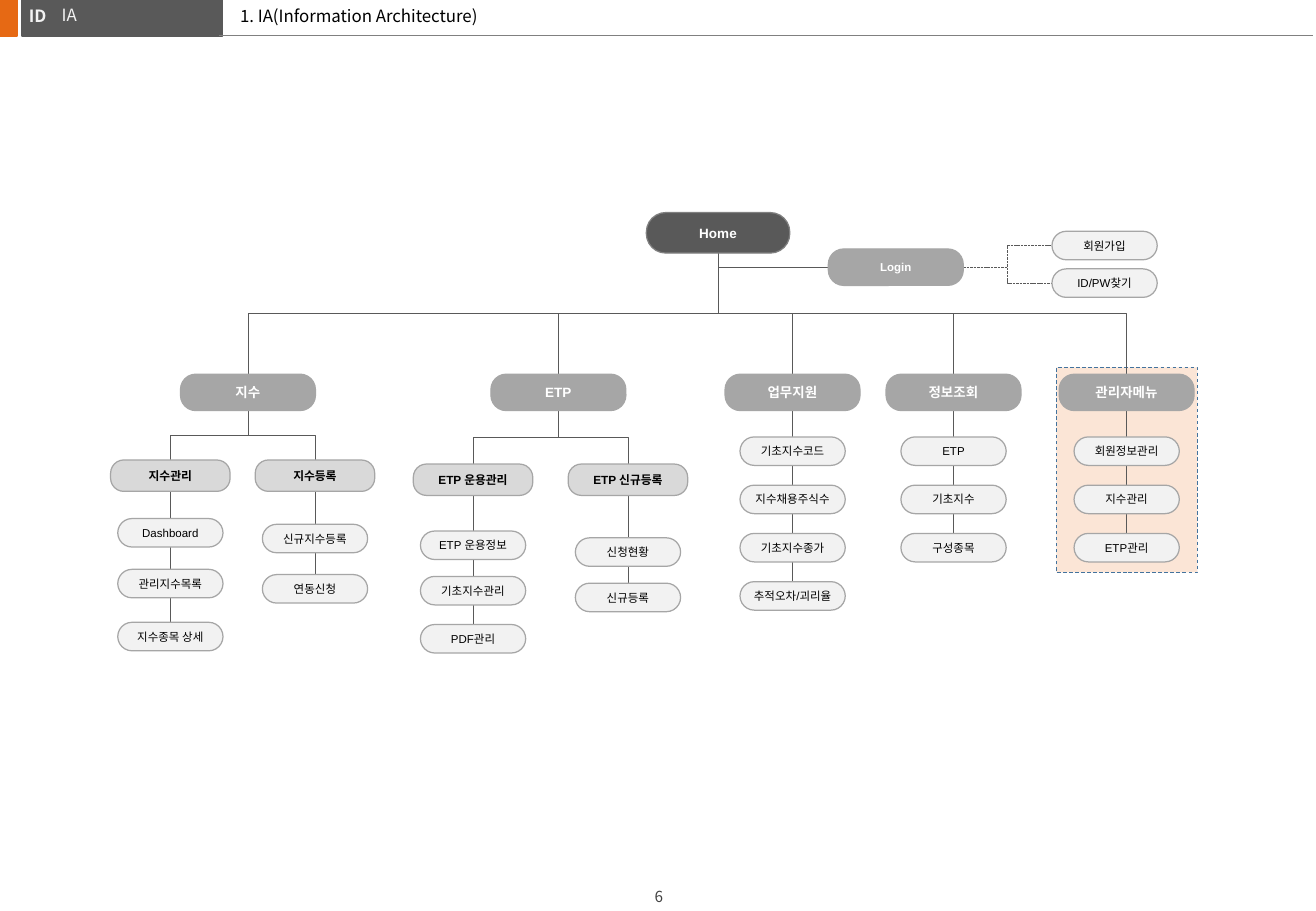
from collections import namedtuple

from lxml.etree import SubElement
from pptx import Presentation
from pptx.dml.color import RGBColor
from pptx.enum.dml import MSO_LINE_DASH_STYLE as Dash
from pptx.enum.shapes import MSO_CONNECTOR as Link, MSO_SHAPE as Shape
from pptx.enum.text import MSO_ANCHOR as Anchor, PP_ALIGN as Align
from pptx.oxml.ns import qn
from pptx.util import Pt

Box = namedtuple("Box", "left top width height")
Kind = namedtuple("Kind", "width height round fill line text size bold")

COLORS = {
    "orange": "E66914", "dark": "595959", "rule": "808080", "mid": "A6A6A6",
    "group": "D9D9D9", "pale": "F2F2F2", "peach": "FBE5D6", "blue": "43739E",
    "white": "FFFFFF", "black": "000000", "page": "404040",
}
KOREAN = "Noto Sans CJK KR"
KINDS = {
    "home": Kind(85, 24, 0.48, "dark", "rule", "white", 8, True),
    "menu": Kind(80, 21.6, 0.42, "mid", "mid", "white", 8, True),
    "login": Kind(80, 21.6, 0.42, "mid", "mid", "white", 6.8, True),
    "group": Kind(70.8, 18.6, 0.42, "group", "mid", "black", 7, True),
    "leaf": Kind(62.4, 16.9, 0.5, "pale", "mid", "black", 6.8, False),
}

# Menus with grouped pages: (label, centre x, group top, groups)
GROUPED_MENUS = [
    ("지수", 82, 146.7, [
        ("지수관리", 36, [("Dashboard", 181.4), ("관리지수목록", 211.5), ("지수종목 상세", 242.9)]),
        ("지수등록", 121.7, [("신규지수등록", 184.8), ("연동신청", 214.6)]),
    ]),
    ("ETP", 266, 149.1, [
        ("ETP 운용관리", 215.4, [("ETP 운용정보", 188.8), ("기초지수관리", 215.7), ("PDF관리", 244.2)]),
        ("ETP 신규등록", 307.2, [("신청현황", 192.8), ("신규등록", 219.7)]),
    ]),
]
# Menus with pages directly below: (label, centre x, pages)
DIRECT_MENUS = [
    ("업무지원", 404.8, ["기초지수코드", "지수채용주식수", "기초지수종가", "추적오차/괴리율"]),
    ("정보조회", 500.2, ["ETP", "기초지수", "구성종목"]),
    ("관리자메뉴", 602.8, ["회원정보관리", "지수관리", "ETP관리"]),
]
HOME_X, MENU_TOP = 360.6, 95.8
LOGIN_X, LOGIN_TOP = 466, 21.6
ACCOUNT_X, ACCOUNT_PAGES = 589.7, [("회원가입", 11.1), ("ID/PW찾기", 33.4)]
PAGE_TOP, PAGE_STEP = 133, 28.6


def color(name):
    return RGBColor.from_string(COLORS[name])


def set_line(line, name, width, dash=None):
    line.color.rgb = color(name)
    line.width = Pt(width)
    if dash:
        line.dash_style = dash


def write(frame, text, tint, margins, font, align=Align.LEFT, anchor=Anchor.TOP, wrap=True):
    left, top, right, bottom = map(Pt, margins)
    layout = {"margin_left": left, "margin_top": top, "margin_right": right,
              "margin_bottom": bottom, "vertical_anchor": anchor, "word_wrap": wrap}
    for name, value in layout.items():
        setattr(frame, name, value)
    paragraph = frame.paragraphs[0]
    paragraph.alignment = align
    run = paragraph.add_run()
    run.text = text
    for name, value in font.items():
        setattr(run.font, name, value)
    run.font.color.rgb = color(tint)
    SubElement(run.font._element, qn("a:ea")).set("typeface", KOREAN)
    return paragraph


def block(slide, box, fill, line, width, dash=None, preset=Shape.RECTANGLE):
    shape = slide.shapes.add_shape(preset, *map(Pt, box))
    shape.shadow.inherit = False
    shape.fill.solid()
    shape.fill.fore_color.rgb = color(fill)
    set_line(shape.line, line, width, dash)
    return shape


def label(slide, box, text, tint, size=10, bold=False, spacing=1, **options):
    frame = slide.shapes.add_textbox(*map(Pt, box)).text_frame
    font = {"name": KOREAN, "size": Pt(size), "bold": bold}
    write(frame, text, tint, (7.2, 3.6, 7.2, 3.6), font, **options).line_spacing = spacing


def link(slide, start, end, kind=Link.STRAIGHT, tint="dark", dash=None):
    connector = slide.shapes.add_connector(kind, *map(Pt, (*start, *end)))
    set_line(connector.line, tint, 0.5, dash)
    SubElement(connector._element.spPr, qn("a:effectLst"))
    return connector


def drop(slide, start, end):
    """Elbow that leaves downwards: a sideways elbow turned by a quarter."""
    (x1, y1), (x2, y2) = start, end
    mid_x, mid_y = (x1 + x2) / 2, (y1 + y2) / 2
    side = 1 if x2 > x1 else -1
    along, across = side * (y2 - y1) / 2, abs(x2 - x1) / 2
    elbow = link(slide, (mid_x + along, mid_y - across), (mid_x - along, mid_y + across), Link.ELBOW)
    elbow._element.spPr.find(qn("a:xfrm")).set("rot", str((270 if side > 0 else 90) * 60000))


def node(slide, kind_name, text, x, top):
    kind = KINDS[kind_name]
    pill = block(slide, (x - kind.width / 2, top, kind.width, kind.height),
                 kind.fill, kind.line, 0.75, preset=Shape.ROUNDED_RECTANGLE)
    pill.adjustments[0] = kind.round
    font = {"name": "Arial", "size": Pt(kind.size), "bold": kind.bold}
    write(pill.text_frame, text, kind.text, (0.7,) * 4, font, Align.CENTER, Anchor.MIDDLE)


def draw_column(slide, x, start, pages):
    """Pages strung on one vertical line."""
    link(slide, (x, start), (x, pages[-1][1]))
    for text, top in pages:
        node(slide, "leaf", text, x, top)


def draw_header(slide, box):
    x, y = box.left, box.top
    block(slide, (x, y, 10, box.height), "orange", "orange", 1)
    block(slide, (x + 13, y, 119, box.height), "dark", "dark", 1)
    link(slide, (x + 130, y + 21.1), (x + box.width, y + 21.1), tint="rule")
    label(slide, (x + 10, y, 25, 19.4), "ID", "pale", bold=True, wrap=False)
    label(slide, (x + 29.5, y + 0.5, 97, 16.6), "IA", "pale", spacing=0.9)
    label(slide, (x + 135.2, y + 0.5, 527, 18.7), "1. IA(Information Architecture)",
          "black", spacing=0.9, anchor=Anchor.BOTTOM)


def draw_login(slide, box):
    login = KINDS["login"]
    middle = box.top + LOGIN_TOP + login.height / 2
    x, page_x = box.left + LOGIN_X, box.left + ACCOUNT_X
    link(slide, (box.left + HOME_X, middle), (x - login.width / 2, middle))
    for text, offset in ACCOUNT_PAGES:
        top = box.top + offset
        end = page_x - KINDS["leaf"].width / 2, top + KINDS["leaf"].height / 2
        link(slide, (x + login.width / 2, middle), end, Link.ELBOW, dash=Dash.SQUARE_DOT)
        node(slide, "leaf", text, page_x, top)
    node(slide, "login", "Login", x, box.top + LOGIN_TOP)


def draw_site_map(slide, box):
    left, top = box.left, box.top
    menu_top = top + MENU_TOP
    menu_end = menu_top + KINDS["menu"].height
    # Admin area
    block(slide, (left + 561.1, top + 91.8, 83.6, 121.5), "peach", "blue", 0.5, Dash.DASH)
    # Home and its branches
    for menu in GROUPED_MENUS + DIRECT_MENUS:
        drop(slide, (left + HOME_X, top + KINDS["home"].height), (left + menu[1], menu_top))
    node(slide, "home", "Home", left + HOME_X, top)
    draw_login(slide, box)
    # Menus split into groups
    for text, x, group_top, groups in GROUPED_MENUS:
        for group, group_x, pages in groups:
            drop(slide, (left + x, menu_end), (left + group_x, top + group_top))
            draw_column(slide, left + group_x, top + group_top + KINDS["group"].height,
                        [(page, top + offset) for page, offset in pages])
            node(slide, "group", group, left + group_x, top + group_top)
        node(slide, "menu", text, left + x, menu_top)
    # Menus with one column of pages
    for text, x, pages in DIRECT_MENUS:
        draw_column(slide, left + x, menu_end,
                    [(page, top + PAGE_TOP + PAGE_STEP * i) for i, page in enumerate(pages)])
        node(slide, "menu", text, left + x, menu_top)


def main():
    deck = Presentation()
    deck.slide_width, deck.slide_height = Pt(780), Pt(540)
    slide = deck.slides.add_slide(deck.slide_layouts[6])
    draw_header(slide, Box(0, 0, 778.5, 21.4))
    draw_site_map(slide, Box(65, 126, 645, 262))
    label(slide, Box(374.5, 522.5, 32, 17.3), "6", "page", size=9, align=Align.CENTER)
    deck.save("out.pptx")


if __name__ == "__main__":
    main()
